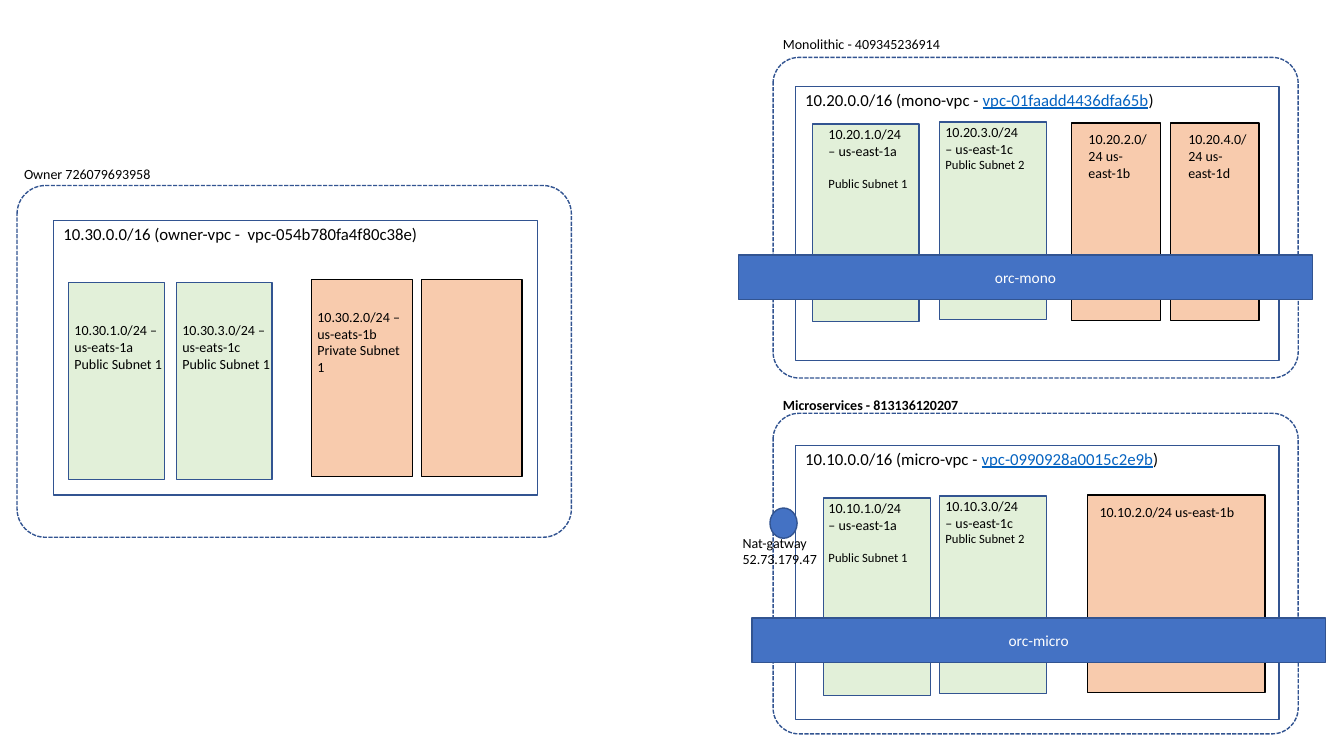
from pptx import Presentation
from pptx.dml.color import RGBColor
from pptx.enum.dml import MSO_LINE
from pptx.enum.shapes import MSO_SHAPE
from pptx.enum.text import MSO_ANCHOR, MSO_AUTO_SIZE, PP_ALIGN
from pptx.util import Pt

COLORS = {
    "border": "325491",
    "public": "E2F0D9",
    "private": "F8CBAD",
    "cluster": "4472C4",
    "link": "0563C1",
    "black": "000000",
    "white": "FFFFFF",
}
FONT = "Calibri"
SUBNET_HEIGHT = 141.1
VPC_SIZE = (345.6, 195.8)
CLUSTER_SIZE = (409.7, 31.7)


def rgb(name):
    return RGBColor.from_string(COLORS[name])


def within(box, part):
    """Turn a part given relative to a box into slide coordinates."""
    return (box[0] + part[0], box[1] + part[1], *part[2:])


def style(run, size, color="black", bold=False):
    run.font.name = FONT
    run.font.size = Pt(size)
    run.font.bold = bold
    run.font.color.rgb = rgb(color)


def add_outline(slide, kind, box, fill=None, line="border"):
    outline = slide.shapes.add_shape(kind, *map(Pt, box))
    outline.shadow.inherit = False
    if fill:
        outline.fill.solid()
        outline.fill.fore_color.rgb = rgb(fill)
    else:
        outline.fill.background()
    outline.line.color.rgb = rgb(line)
    outline.line.width = Pt(1)
    return outline


def add_label(slide, box, lines, wrap=True, bold=False):
    """Each line is (text, size, space before)."""
    label = slide.shapes.add_textbox(*map(Pt, box))
    frame = label.text_frame
    frame.word_wrap = wrap
    frame.auto_size = MSO_AUTO_SIZE.SHAPE_TO_FIT_TEXT
    frame.text = "\n".join(text for text, _, _ in lines)
    for paragraph, (_, size, gap) in zip(frame.paragraphs, lines):
        paragraph.space_before = Pt(gap)
        for run in paragraph.runs:
            style(run, size, bold=bold)
    return label


def add_account(slide, box, name, name_box, bold=False):
    """Dashed account boundary with its name above."""
    boundary = add_outline(slide, MSO_SHAPE.ROUNDED_RECTANGLE, box)
    boundary.adjustments[0] = 0.081
    boundary.line.dash_style = MSO_LINE.SQUARE_DOT
    add_label(slide, within(box, name_box), [(name, 10, 0)], bold=bold)


def add_vpc(slide, box, title, title_width, linked_id=None):
    """VPC frame with its address range; a linked id is followed by a bracket."""
    add_outline(slide, MSO_SHAPE.RECTANGLE, box)
    heading = add_label(slide, within(box, (0, -1.5, title_width, 21.6)),
                        [(title, 12, 0)], wrap=False)
    if linked_id:
        paragraph = heading.text_frame.paragraphs[0]
        for text, color in ((linked_id, "link"), (")", "black")):
            run = paragraph.add_run()
            run.text = text
            style(run, 12, color)
            run.font.underline = color == "link"


def add_subnet(slide, vpc, kind, place, label_box=None, lines=()):
    """Subnet block, placed by (left, top, width) within its VPC."""
    add_outline(slide, MSO_SHAPE.RECTANGLE, within(vpc, (*place, SUBNET_HEIGHT)),
                kind, "border" if kind == "public" else "black")
    if lines:
        add_label(slide, within(vpc, label_box), lines)


def add_cluster(slide, account, offset, name):
    """Bar of the cluster that spans all subnets."""
    bar = add_outline(slide, MSO_SHAPE.RECTANGLE,
                      within(account, (*offset, *CLUSTER_SIZE)), "cluster")
    bar.text_frame.text = name
    bar.text_frame.vertical_anchor = MSO_ANCHOR.MIDDLE
    paragraph = bar.text_frame.paragraphs[0]
    paragraph.alignment = PP_ALIGN.CENTER
    style(paragraph.runs[0], 11, "white")


def add_owner(slide, box):
    add_account(slide, box, "Owner 726079693958", (-2.1, -18, 108, 19.4))
    vpc = within(box, (26, 25.2, *VPC_SIZE))
    add_vpc(slide, vpc, "10.30.0.0/16 (owner-vpc -  vpc-054b780fa4f80c38e)", 270.7)
    for kind, place, label_box, cidr, name in (
        ("public", (10.8, 43.9, 68.4), (7.9, 68.4, 77.8, 43.9),
         "10.30.1.0/24 – us-eats-1a", "Public Subnet 1"),
        ("public", (87.8, 43.9, 68.4), (85, 68.4, 77.8, 43.9),
         "10.30.3.0/24 – us-eats-1c", "Public Subnet 1"),
        ("private", (184.3, 41.8, 72), (181.4, 59, 77.8, 55.4),
         "10.30.2.0/24 – us-eats-1b", "Private Subnet 1"),
    ):
        add_subnet(slide, vpc, kind, place, label_box,
                   [(cidr, 10, 0), (name, 10, 0)])
    add_subnet(slide, vpc, "private", (262.8, 41.8, 72))


def add_public_pair(slide, vpc, prefix, left, top):
    """The two public subnets of a workload VPC, the first one at left and top."""
    add_subnet(slide, vpc, "public", (left, top, 76.3), (16.6, top - 2.5, 71.3, 67),
               [(f"{prefix}.1.0/24 – us-east-1a", 10, 0), ("Public Subnet 1", 9, 12.2)])
    add_subnet(slide, vpc, "public", (103, top - 1.4, 76.3), (100.1, top - 4, 71.3, 42.5),
               [(f"{prefix}.3.0/24 – us-east-1c", 10, 0), ("Public Subnet 2", 9, 0)])


def add_monolithic(slide, box):
    add_account(slide, box, "Monolithic - 409345236914", (0, -19.4, 128.9, 19.4))
    vpc = within(box, (15.9, 20.9, *VPC_SIZE))
    add_vpc(slide, vpc, "10.20.0.0/16 (mono-vpc - ", 265.7, "vpc-01faadd4436dfa65b")
    add_public_pair(slide, vpc, "10.20", 12.2, 26.6)
    for left, label_left, cidr in (
        (197.3, 202.3, "10.20.2.0/24 us-east-1b"),
        (267.8, 273.6, "10.20.4.0/24 us-east-1d"),
    ):
        add_subnet(slide, vpc, "private", (left, 25.9, 63.4),
                   (label_left, 28.1, 56.2, 43.9), [(cidr, 10, 0)])
    add_cluster(slide, box, (-24.5, 141.1), "orc-mono")


def add_microservices(slide, box):
    add_account(slide, box, "Microservices - 813136120207",
                (0, -15.8, 140.4, 19.4), bold=True)
    vpc = within(box, (15.9, 23, *VPC_SIZE))
    add_vpc(slide, vpc, "10.10.0.0/16 (micro-vpc - ", 270, "vpc-0990928a0015c2e9b")
    add_public_pair(slide, vpc, "10.10", 20.2, 37.4)
    add_subnet(slide, vpc, "private", (208.8, 35.3, 126.7),
               (210.2, 38.2, 130.3, 19.4), [("10.10.2.0/24 us-east-1b", 10, 0)])
    # NAT gateway on the account boundary
    add_outline(slide, MSO_SHAPE.OVAL, within(box, (-2.2, 67.7, 19.4, 21.6)), "cluster")
    add_label(slide, within(box, (-28.8, 82.8, 72.7, 31.7)),
              [("Nat-gatway", 10, 0), ("52.73.179.47", 10, 0)])
    add_cluster(slide, box, (-15.1, 146.2), "orc-micro")


def main():
    deck = Presentation()
    deck.slide_width, deck.slide_height = Pt(960), Pt(540)
    slide = deck.slides.add_slide(deck.slide_layouts[6])
    add_owner(slide, (12.2, 132.5, 396, 251.3))
    add_monolithic(slide, (552.2, 41, 375.1, 229))
    add_microservices(slide, (552.2, 295.2, 375.1, 229))
    deck.save("out.pptx")


if __name__ == "__main__":
    main()
